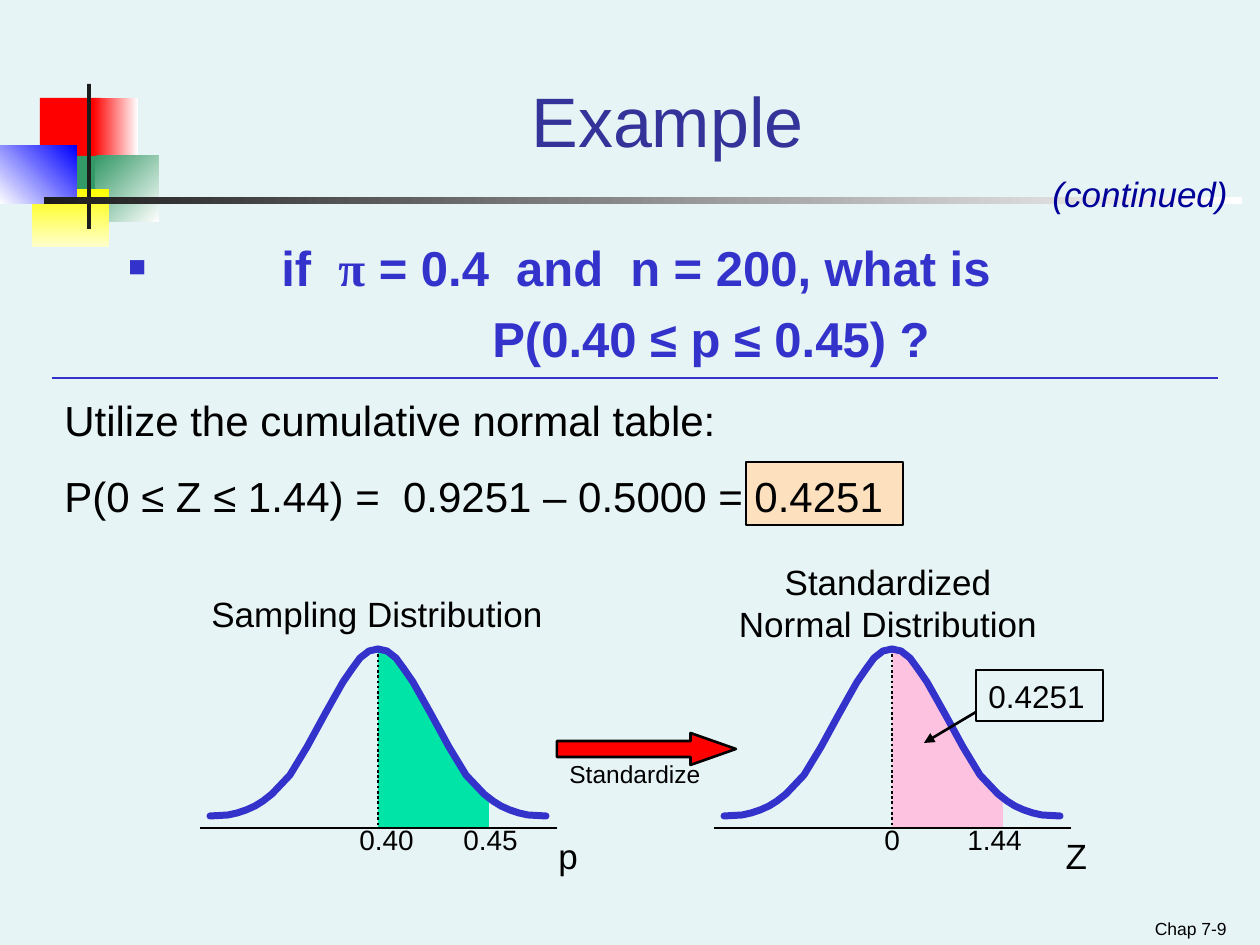
"""Build a slide that standardizes a sampling distribution of a proportion."""
from typing import NamedTuple, Optional

from lxml import etree
from pptx import Presentation
from pptx.dml.color import RGBColor
from pptx.enum.dml import MSO_LINE
from pptx.enum.shapes import MSO_CONNECTOR, MSO_SHAPE
from pptx.enum.text import MSO_ANCHOR, MSO_AUTO_SIZE, PP_ALIGN
from pptx.oxml.ns import qn
from pptx.util import Emu, Pt

SCALE = 914400 / 126
LEFT, CENTER, RIGHT = PP_ALIGN.LEFT, PP_ALIGN.CENTER, PP_ALIGN.RIGHT
TOP, MIDDLE, BOTTOM = MSO_ANCHOR.TOP, MSO_ANCHOR.MIDDLE, MSO_ANCHOR.BOTTOM
RECT, ARROW = MSO_SHAPE.RECTANGLE, MSO_SHAPE.RIGHT_ARROW
STRAIGHT, DOTS, FIXED = MSO_CONNECTOR.STRAIGHT, MSO_LINE.ROUND_DOT, MSO_AUTO_SIZE.NONE

PALE = RGBColor(0xE7, 0xF4, 0xF5)
BLACK = RGBColor(0, 0, 0)
DARK = RGBColor(0x1C, 0x1C, 0x1C)
WHITE = RGBColor(0xFF, 0xFF, 0xFF)
RED = RGBColor(0xFF, 0, 0)
GREEN = RGBColor(0x33, 0x99, 0x66)
YELLOW = RGBColor(0xFF, 0xFF, 0)
CREAM = RGBColor(0xFF, 0xFF, 0xCC)
BLUE = RGBColor(0, 0, 0xFF)
INDIGO = RGBColor(0x33, 0x33, 0x99)
NAVY = RGBColor(0, 0, 0x99)
VIOLET = RGBColor(0x33, 0x33, 0xCC)
PEACH = RGBColor(0xFD, 0xE0, 0xBD)
PINK = RGBColor(0xFC, 0xC2, 0xE0)
MINT = RGBColor(0, 0xE4, 0xA8)


class Box(NamedTuple):
    left: int
    top: int
    width: int
    height: int


class Tile(NamedTuple):
    box: Box
    start: RGBColor
    stop: Optional[RGBColor] = None
    angle: int = 0


class Label(NamedTuple):
    text: str
    box: Box
    size: int
    align: PP_ALIGN = LEFT
    color: RGBColor = BLACK
    slant: bool = False
    gap: int = 0
    anchor: MSO_ANCHOR = TOP


class Bell(NamedTuple):
    mid: int
    color: RGBColor


TILES = (
    Tile(Box(40, 98, 61, 66), RED),
    Tile(Box(93, 98, 45, 66), RED, WHITE),
    Tile(Box(95, 156, 64, 66), GREEN, WHITE, 315),
    Tile(Box(54, 156, 41, 66), GREEN),
    Tile(Box(32, 189, 77, 58), YELLOW, CREAM, 270),
    Tile(Box(0, 146, 77, 58), WHITE, BLUE, 45),
    Tile(Box(87, 84, 4, 145), DARK),
    Tile(Box(44, 197, 1198, 7), DARK, WHITE),
)
BELLS = (Bell(378, MINT), Bell(892, PINK))
CURVE = (
    (168, 816), (150, 815), (141, 813), (132, 810), (123, 806), (115, 801),
    (106, 794), (88, 775), (71, 747), (53, 714), (44, 698), (35, 682),
    (26, 669), (18, 658), (9, 651), (0, 649),
)
AREA = (
    (0, 649), (18, 659), (26, 669), (40, 690), (57, 718), (69, 745),
    (96, 785), (111, 796), (111, 828), (0, 828),
)
LABELS = (
    Label("(continued)", Box(1040, 166, 220, 55), 20, color=NAVY, slant=True),
    Label("Utilize the cumulative normal table:\n"
          "P(0 ≤ Z ≤ 1.44) =  0.9251 – 0.5000 = 0.4251",
          Box(52, 388, 1144, 140), 24, gap=15),
    Label("Sampling Distribution", Box(199, 586, 378, 54), 20),
    Label("Standardized\vNormal Distribution", Box(683, 554, 410, 96), 20, CENTER),
    Label("Standardize", Box(557, 753, 158, 43), 14),
    Label("0.40", Box(347, 816, 84, 47), 16),
    Label("0.45", Box(451, 816, 95, 47), 16),
    Label("p", Box(546, 828, 84, 55), 20),
    Label("0", Box(872, 816, 53, 47), 16),
    Label("1.44", Box(955, 816, 84, 47), 16),
    Label("Z", Box(1050, 828, 53, 55), 20, CENTER),
    Label("Chap 7-9", Box(945, 901, 294, 44), 10, RIGHT, anchor=BOTTOM),
)


def emu(px: float) -> Emu:
    """Turn px into EMU."""
    return Emu(round(px * SCALE))


def place(box: Box) -> list[Emu]:
    """Give the four lengths of a box in EMU."""
    return [emu(px) for px in box]


def fill_text(frame, label: Label) -> None:
    """Write a label into a text frame and format it."""
    frame.text = label.text
    frame.word_wrap = True
    frame.auto_size = FIXED
    frame.vertical_anchor = label.anchor
    for index, para in enumerate(frame.paragraphs):
        para.alignment = label.align
        para.space_before = Pt(label.gap if index else 0)
        for run in para.runs:
            font = run.font
            font.name, font.size, font.italic = "Arial", Pt(label.size), label.slant
            font.color.rgb = label.color


def draw_label(slide, label: Label) -> None:
    """Add a text box."""
    fill_text(slide.shapes.add_textbox(*place(label.box)).text_frame, label)


def draw_tile(slide, tile: Tile) -> None:
    """Add a plain or graded rectangle without an outline."""
    shape = slide.shapes.add_shape(RECT, *place(tile.box))
    shape.shadow.inherit = False
    shape.line.fill.background()
    if tile.stop is None:
        shape.fill.solid()
        shape.fill.fore_color.rgb = tile.start
        return
    shape.fill.gradient()
    shape.fill.gradient_angle = tile.angle
    for stop, color in zip(shape.fill.gradient_stops, (tile.start, tile.stop)):
        stop.color.rgb = color


def draw_frame(slide, kind: MSO_SHAPE, box: Box, color: Optional[RGBColor] = None):
    """Add a shape with a black outline."""
    shape = slide.shapes.add_shape(kind, *place(box))
    shape.shadow.inherit = False
    shape.line.color.rgb, shape.line.width = BLACK, Pt(1.5)
    if color is None:
        shape.fill.background()
    else:
        shape.fill.solid()
        shape.fill.fore_color.rgb = color
    return shape


def draw_line(slide, start: tuple[int, int], end: tuple[int, int],
              color: RGBColor = BLACK):
    """Add a straight line."""
    line = slide.shapes.add_connector(STRAIGHT, *map(emu, start + end))
    line.line.color.rgb, line.line.width = color, Pt(1.5)
    etree.SubElement(line.element.spPr, qn("a:effectLst"))
    return line


def draw_path(slide, points: list[tuple[int, int]], close: bool):
    """Add a freeform through the points."""
    path = slide.shapes.build_freeform(*points[0], scale=SCALE)
    path.add_line_segments(points[1:], close=close)
    shape = path.convert_to_shape()
    shape.shadow.inherit = False
    return shape


def draw_bell(slide, bell: Bell) -> None:
    """Add a bell curve with its shaded area, middle line and axis."""
    area = draw_path(slide, [(bell.mid + x, y) for x, y in AREA], True)
    area.fill.solid()
    area.fill.fore_color.rgb = bell.color
    area.line.fill.background()
    draw_line(slide, (bell.mid, 649), (bell.mid, 828)).line.dash_style = DOTS
    for side in (1, -1):
        curve = draw_path(slide, [(bell.mid + side * x, y) for x, y in CURVE], False)
        curve.fill.background()
        curve.line.color.rgb, curve.line.width = VIOLET, Pt(4)
        curve.element.spPr.find(qn("a:ln")).set("cap", "rnd")
    draw_line(slide, (bell.mid - 178, 828), (bell.mid + 179, 828))


def draw_query(slide) -> None:
    """Add the bulleted question in two lines."""
    frame = slide.shapes.add_textbox(*place(Box(116, 231, 1113, 140))).text_frame
    frame.word_wrap = True
    first, second = frame.paragraphs[0], frame.add_paragraph()
    props = first._p.get_or_add_pPr()
    props.set("marL", str(emu(153)))
    props.set("indent", str(-emu(153)))
    tint = etree.SubElement(props, qn("a:buClr"))
    etree.SubElement(tint, qn("a:srgbClr"), val=str(VIOLET))
    etree.SubElement(props, qn("a:buSzPct"), val="60000")
    etree.SubElement(props, qn("a:buFont"), typeface="Arial")
    etree.SubElement(props, qn("a:buChar"), char="■")
    second._p.get_or_add_pPr().set("marL", str(emu(364)))
    second.space_before = Pt(7)
    for para, text, name in (
        (first, "if  ", "Arial"),
        (first, "π", "Times New Roman"),
        (first, " = 0.4  and  n = 200, what is", "Arial"),
        (second, "P(0.40 ≤ p ≤ 0.45) ?", "Arial"),
    ):
        run = para.add_run()
        run.text = text
        run.font.name, run.font.size, run.font.bold = name, Pt(28), True
        run.font.color.rgb = VIOLET


def main() -> None:
    """Build and save the slide."""
    deck = Presentation()
    deck.slide_width, deck.slide_height = emu(1260), emu(945)
    slide = deck.slides.add_slide(deck.slide_layouts[5])
    slide.background.fill.solid()
    slide.background.fill.fore_color.rgb = PALE
    for tile in TILES:
        draw_tile(slide, tile)
    title, box = slide.shapes.title, Box(159, 32, 1017, 136)
    title.left, title.top, title.width, title.height = place(box)
    fill_text(title.text_frame,
              Label("Example", box, 40, CENTER, INDIGO, anchor=BOTTOM))
    draw_frame(slide, RECT, Box(746, 462, 157, 63), PEACH)
    for bell in BELLS:
        draw_bell(slide, bell)
    arrow = draw_frame(slide, ARROW, Box(557, 733, 179, 32), RED)
    arrow.adjustments[1] = 1.42
    box = Box(976, 670, 127, 51)
    value = draw_frame(slide, RECT, box)
    fill_text(value.text_frame, Label("0.4251", box, 18, anchor=MIDDLE))
    hint = draw_line(slide, (976, 712), (924, 743))
    etree.SubElement(hint.element.spPr.find(qn("a:ln")), qn("a:tailEnd"),
                     type="triangle")
    draw_query(slide)
    draw_line(slide, (52, 378), (1218, 378), VIOLET)
    for label in LABELS:
        draw_label(slide, label)
    deck.save("out.pptx")


if __name__ == "__main__":
    main()
